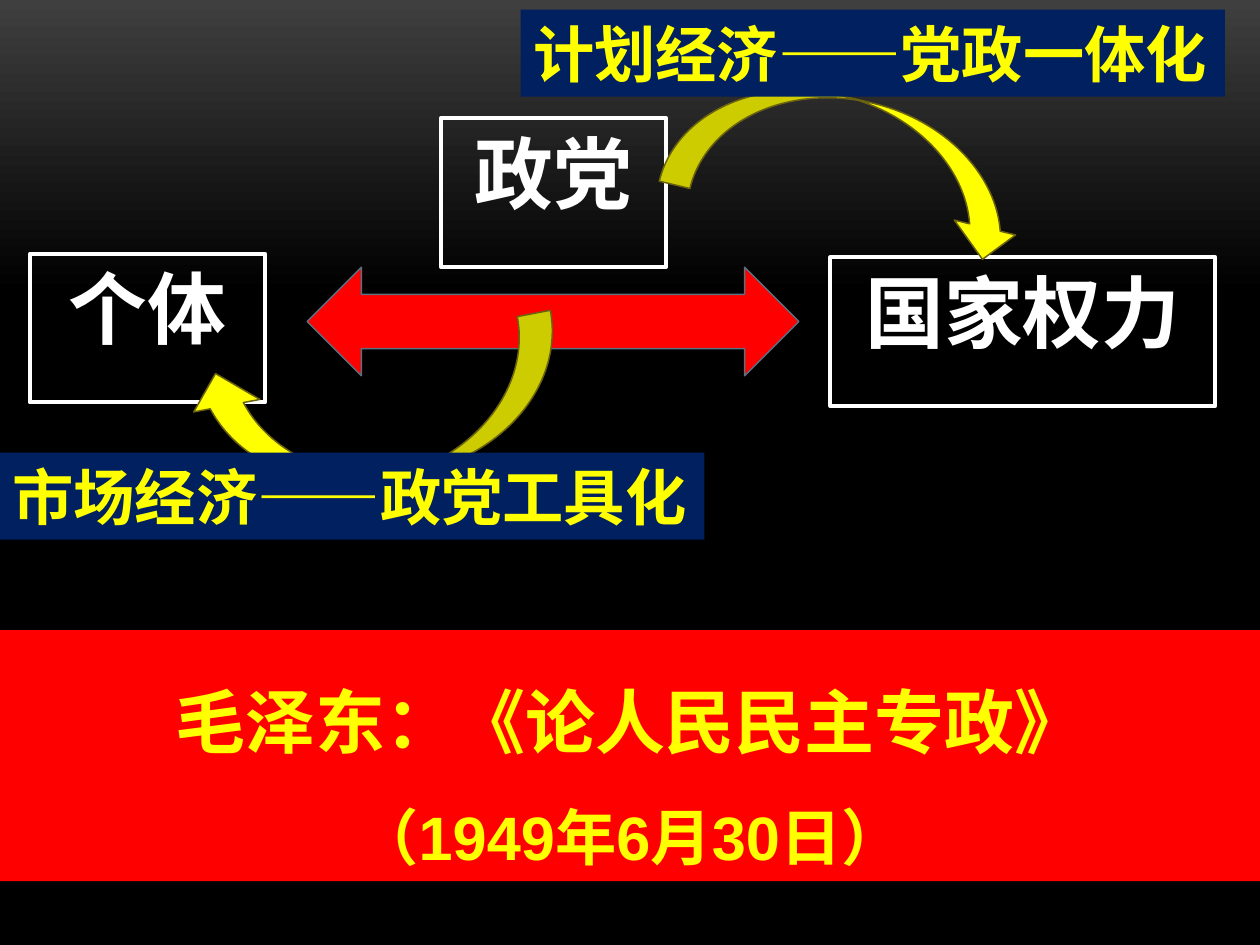
from pptx import Presentation
from pptx import util as u
from pptx.dml import color
from pptx.enum import shapes, text

CJK_FONT = "Noto Sans CJK SC"
WHITE, YELLOW, RED, NAVY = "FFFFFF", "FFFF00", "FF0000", "002060"


def rgb(value):
    """Turn a hex string into a colour."""
    return color.RGBColor.from_string(value)


def paint(shape, fill=None, line=None, width=0.85):
    """Set fill and outline, leaving out whichever is not given."""
    if fill:
        shape.fill.solid()
        shape.fill.fore_color.rgb = rgb(fill)
    else:
        shape.fill.background()
    if line:
        shape.line.color.rgb = rgb(line)
        shape.line.width = u.Pt(width)
    else:
        shape.line.fill.background()


def write(shape, lines, sizes, font, ink, align):
    """Fill a shape with one bold paragraph per line."""
    frame = shape.text_frame
    frame.text = "\n".join(lines)
    frame.word_wrap = True
    frame.auto_size = text.MSO_AUTO_SIZE.NONE
    frame.vertical_anchor = text.MSO_ANCHOR.TOP
    for paragraph, size in zip(frame.paragraphs, sizes):
        paragraph.alignment = align
        for run in paragraph.runs:
            run.font.name = font
            run.font.size = u.Pt(size)
            run.font.bold = True
            run.font.color.rgb = rgb(ink)


def add_shape(slide, kind, left, top, width, height):
    """Add a preset shape without shadow, measured in points."""
    shape = slide.shapes.add_shape(kind, *map(u.Pt, (left, top, width, height)))
    shape.shadow.inherit = False
    return shape


def add_actor(slide, name, left, top, width):
    """Add a white outlined box naming one political actor."""
    shape = add_shape(slide, shapes.MSO_SHAPE.RECTANGLE, left, top, width, 85)
    paint(shape, line=WHITE, width=2.25)
    write(shape, [name], [45], CJK_FONT, WHITE, text.PP_ALIGN.CENTER)


def add_label(slide, wording, left, top):
    """Add a navy label naming an economic system and its effect."""
    shape = add_shape(slide, shapes.MSO_SHAPE.RECTANGLE, left, top, 402.5, 49.7)
    paint(shape, fill=NAVY)
    write(shape, [wording], [35], CJK_FONT, YELLOW, text.PP_ALIGN.LEFT)


def add_curved_arrow(slide, left, top, width, height, rotation):
    """Add a rotated yellow curved arrow."""
    shape = add_shape(slide, shapes.MSO_SHAPE.CURVED_DOWN_ARROW, left, top, width, height)
    paint(shape, YELLOW, "6B6210")
    shape.rotation = rotation


def add_double_arrow(slide):
    """Add the red arrow between individual and state power."""
    shape = add_shape(slide, shapes.MSO_SHAPE.LEFT_RIGHT_ARROW, 175.5, 152.7, 281, 62)
    paint(shape, RED, "5D7080")


def set_background(slide):
    """Fade the background from dark grey at the top to black."""
    fill = slide.background.fill
    fill.gradient()
    fill.gradient_angle = 270
    for stop, position, value in zip(fill.gradient_stops, (0, 0.31), ("3F3F3F", "000000")):
        stop.position = position
        stop.color.rgb = rgb(value)


def set_title(slide):
    """Turn the title placeholder into the red band."""
    title = slide.shapes.title
    title.left, title.top, title.width, title.height = map(u.Pt, (0, 360, 720, 143.5))
    paint(title, fill=RED)
    lines = ["毛泽东：《论人民民主专政》", "（1949年6月30日）"]
    write(title, lines, [40, 35], "Arial", YELLOW, text.PP_ALIGN.CENTER)
    for paragraph in title.text_frame.paragraphs:
        paragraph.line_spacing = 1.5


def main():
    """Build the slide and save it."""
    presentation = Presentation()
    presentation.slide_width, presentation.slide_height = u.Pt(720), u.Pt(540)
    slide = presentation.slides.add_slide(presentation.slide_layouts[5])
    set_background(slide)
    set_title(slide)
    add_actor(slide, "个体", 17, 145, 134.5)
    add_actor(slide, "国家权力", 474.5, 147, 220)
    add_actor(slide, "政党", 251.8, 67.5, 129)
    add_double_arrow(slide)
    add_curved_arrow(slide, 382.3, 57, 208, 72, 13.6)
    add_label(slide, "计划经济——党政一体化", 297.5, 5.5)
    add_curved_arrow(slide, 109.5, 196.5, 214, 77, 169.3)
    add_label(slide, "市场经济——政党工具化", 0, 258.7)
    presentation.save("out.pptx")


if __name__ == "__main__":
    main()
